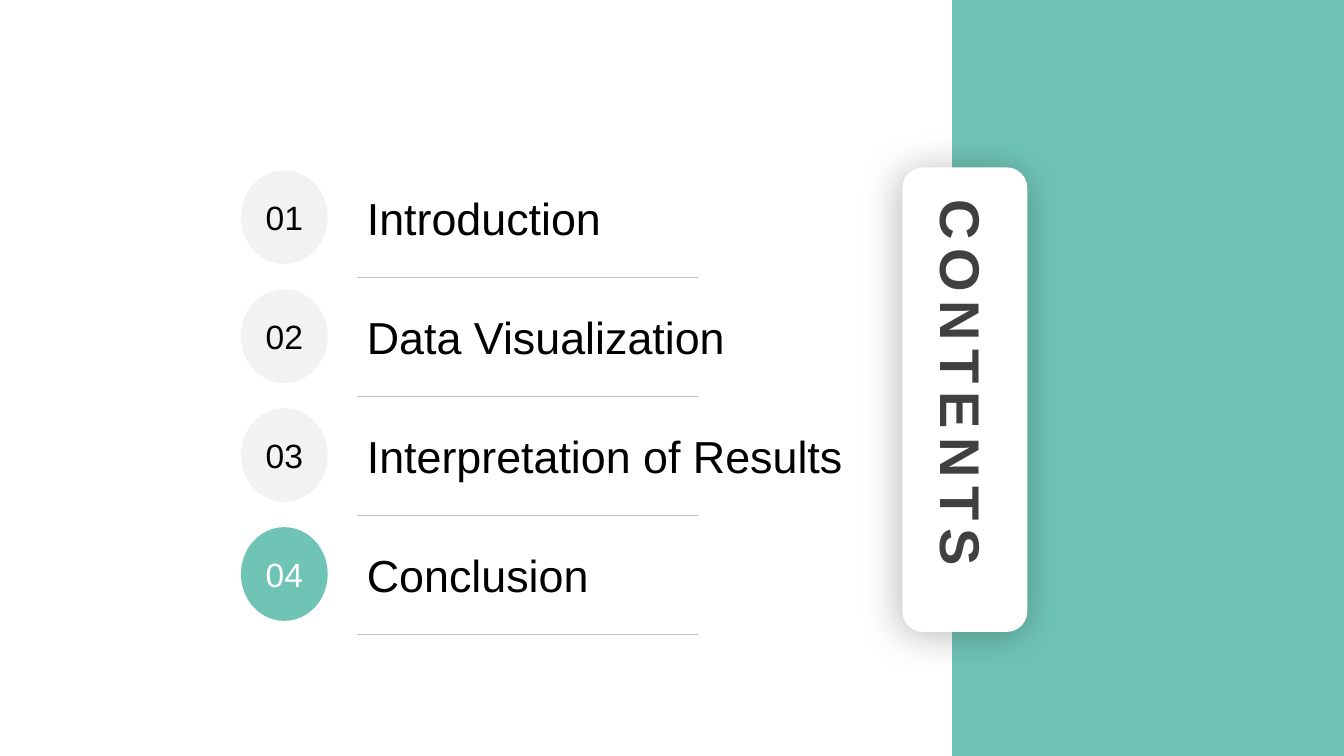
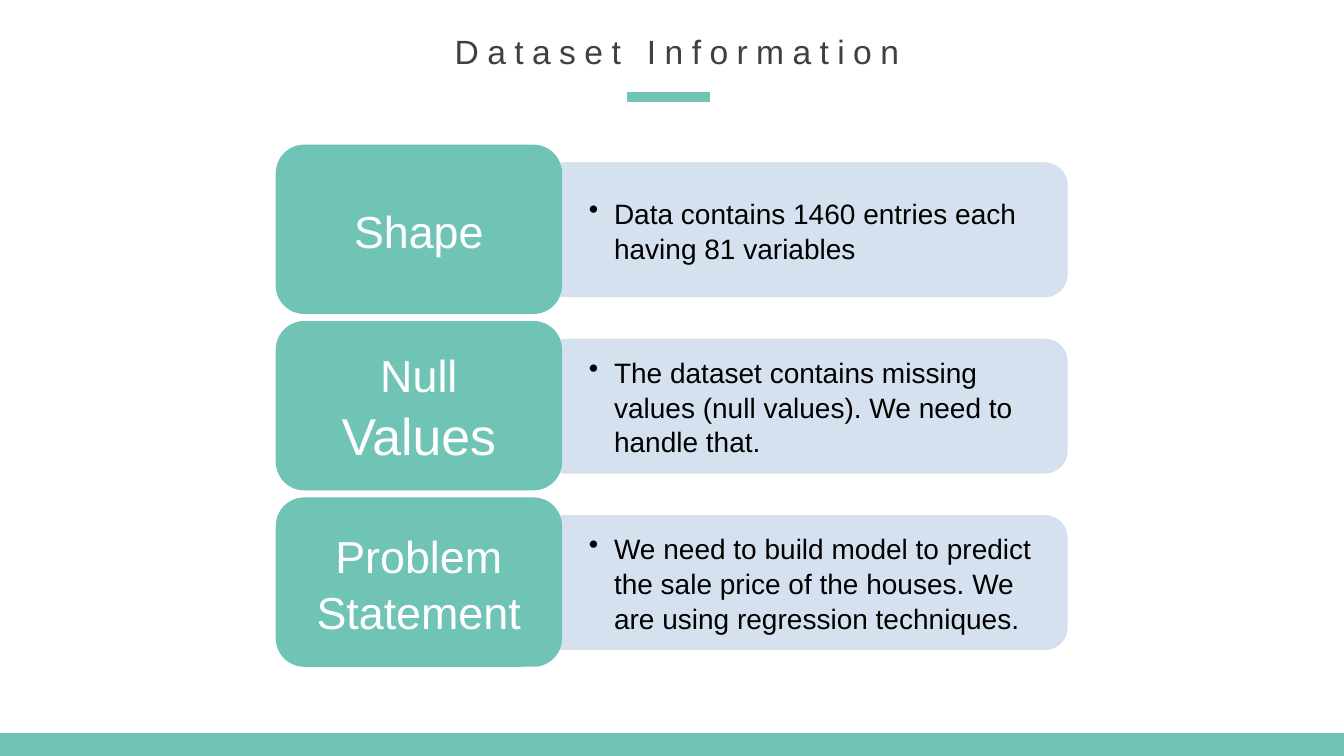
import pptx
import pptx.dml.color
import pptx.enum.shapes
import pptx.enum.text
import pptx.oxml
import pptx.oxml.ns
import pptx.util
from lxml import etree

Inches = pptx.util.Inches
Pt = pptx.util.Pt
qn = pptx.oxml.ns.qn
SHAPES = pptx.enum.shapes.MSO_SHAPE
ALIGN = pptx.enum.text.PP_ALIGN
ANCHOR = pptx.enum.text.MSO_ANCHOR
AUTO_SIZE = pptx.enum.text.MSO_AUTO_SIZE

TEAL = "6FC4B6"
WHITE = "FFFFFF"
BLACK = "000000"
CHARCOAL = "404040"
PALE_GREY = "F2F2F2"
RULE_GREY = "BFBFBF"
PALE_BLUE = "D2DEEF"


def color(value):
    return pptx.dml.color.RGBColor.from_string(value)


class Deck:
    """Holds the shared style and the slide being built."""

    font = "Arial"

    def __init__(self):
        self.presentation = pptx.Presentation()
        self.presentation.slide_width = Inches(13.33)
        self.presentation.slide_height = Inches(7.5)
        self.slide = None

    def new_slide(self):
        layout = self.presentation.slide_layouts[5]
        self.slide = self.presentation.slides.add_slide(layout)

    def add_text(self, shape, runs, text_color, align=ALIGN.LEFT, anchor=ANCHOR.TOP, bold=False):
        frame = shape.text_frame
        frame.word_wrap = True
        frame.vertical_anchor = anchor
        paragraph = frame.paragraphs[0]
        paragraph.alignment = align
        for text, size in runs:
            run = paragraph.add_run()
            run.text = text
            run.font.name = self.font
            run.font.size = Pt(size)
            run.font.bold = bold
            run.font.color.rgb = color(text_color)
        return paragraph

    def shape(self, kind, left, top, width, height, fill, line_width=0):
        shape = self.slide.shapes.add_shape(
            kind, Inches(left), Inches(top), Inches(width), Inches(height))
        shape.shadow.inherit = False
        shape.fill.solid()
        shape.fill.fore_color.rgb = color(fill)
        if line_width:
            shape.line.color.rgb = color(fill)
            shape.line.width = Pt(line_width)
        else:
            shape.line.fill.background()
        return shape

    def band(self, left, top, width, height):
        self.shape(SHAPES.RECTANGLE, left, top, width, height, TEAL, 1)

    def title(self, text, left, top, width, height, size, bold=False, vertical=False):
        title = self.slide.shapes.title
        title.left, title.top = Inches(left), Inches(top)
        title.width, title.height = Inches(width), Inches(height)
        self.add_text(title, [(text, size)], CHARCOAL, ALIGN.CENTER, bold=bold)
        title.text_frame.auto_size = AUTO_SIZE.SHAPE_TO_FIT_TEXT
        for properties in title.element.iter(qn("a:rPr")):
            properties.set("spc", "600")
        if vertical:
            title.element.find(".//" + qn("a:bodyPr")).set("vert", "eaVert")
        else:
            title.text_frame.word_wrap = False
        title.element.getparent().append(title.element)

    def card(self, left, top, width, height):
        card = self.shape(SHAPES.ROUNDED_RECTANGLE, left, top, width, height, WHITE)
        effects = card.element.spPr.find(qn("a:effectLst"))
        shadow = etree.SubElement(
            effects, qn("a:outerShdw"), blurRad=str(Pt(29)), dist=str(Pt(3)),
            dir="8100000", sy="104000", algn="t", rotWithShape="0")
        shade = etree.SubElement(shadow, qn("a:srgbClr"), val=BLACK)
        etree.SubElement(shade, qn("a:alpha"), val="27000")

    def number(self, text, left, top, fill, text_color):
        circle = self.shape(SHAPES.OVAL, left, top, 0.86, 0.93, fill)
        self.add_text(circle, [(text, 24)], text_color, ALIGN.CENTER, ANCHOR.MIDDLE)

    def text_box(self, left, top, width, height, text, size, anchor=ANCHOR.TOP):
        box = self.slide.shapes.add_textbox(
            Inches(left), Inches(top), Inches(width), Inches(height))
        self.add_text(box, [(text, size)], BLACK, anchor=anchor)
        return box

    def rule(self, left, right, top):
        line = self.slide.shapes.add_connector(
            pptx.enum.shapes.MSO_CONNECTOR.STRAIGHT,
            Inches(left), Inches(top), Inches(right), Inches(top))
        line.line.color.rgb = color(RULE_GREY)
        line.line.width = Pt(0.25)
        etree.SubElement(line.element.spPr, qn("a:effectLst"))

    def margins(self, shape, side, end):
        frame = shape.text_frame
        frame.margin_left = frame.margin_right = Inches(side)
        frame.margin_top = frame.margin_bottom = Inches(end)

    def panel(self, top, text):
        panel = self.shape(
            SHAPES.ROUND_2_SAME_RECTANGLE, 7.41, top - 1.67, 1.33, 5.02, PALE_BLUE, 0.5)
        panel.rotation = 90
        for tint in panel.element.spPr.iter(qn("a:srgbClr")):
            etree.SubElement(tint, qn("a:alpha"), val="90000")
        box = self.text_box(5.57, top + 0.24, 4.96, 1.2, text, 20, ANCHOR.MIDDLE)
        self.margins(box, 0.27, 0.14)
        paragraph = box.text_frame.paragraphs[0]
        paragraph.line_spacing = 1.04
        properties = box.element.find(".//" + qn("a:pPr"))
        properties.set("marL", str(Inches(0.25)))
        properties.set("indent", str(Inches(-0.25)))
        etree.SubElement(properties, qn("a:buChar"), char="•")

    def button(self, top, runs):
        button = self.shape(SHAPES.ROUNDED_RECTANGLE, 2.74, top, 2.83, 1.67, TEAL, 0.75)
        paragraph = self.add_text(button, runs, WHITE, ALIGN.CENTER, ANCHOR.MIDDLE)
        paragraph.line_spacing = 1.04
        self.margins(button, 0.13, 0.07)


def build_contents(deck):
    deck.new_slide()
    deck.band(9.45, 0, 3.88, 7.5)
    deck.card(8.95, 1.66, 1.24, 4.61)
    topics = ["Introduction", "Data Visualization", "Interpretation of Results", "Conclusion"]
    for index, topic in enumerate(topics):
        top = 1.69 + 1.18 * index
        current = topic == "Conclusion"
        deck.number(f"{index + 1:02}", 2.39, top,
                    TEAL if current else PALE_GREY, WHITE if current else BLACK)
        deck.rule(3.54, 6.92, top + 1.06)
        deck.text_box(3.54, top + 0.15, 5.12, 0.64, topic, 32)
    deck.title("CONTENTS", 9.11, 1.93, 0.87, 4.2, 40, bold=True, vertical=True)


def build_dataset(deck):
    deck.new_slide()
    deck.band(6.23, 0.92, 0.81, 0.09)
    deck.title("Dataset Information", 4.37, 0.26, 4.69, 0.5, 24)
    facts = [
        ([("Shape", 32)], "Data contains 1460 entries each having 81 variables"),
        ([("Null ", 32), ("Values", 37)],
         "The dataset contains missing values (null values). We need to handle that."),
        ([("Problem Statement", 32)],
         "We need to build model to predict the sale price of the houses. "
         "We are using regression techniques."),
    ]
    for index, (label, description) in enumerate(facts):
        top = 1.44 + 1.75 * index
        deck.panel(top, description)
        deck.button(top, label)
    deck.band(0, 7.28, 13.33, 0.22)


def main():
    deck = Deck()
    build_contents(deck)
    build_dataset(deck)
    deck.presentation.save("out.pptx")


if __name__ == "__main__":
    main()
